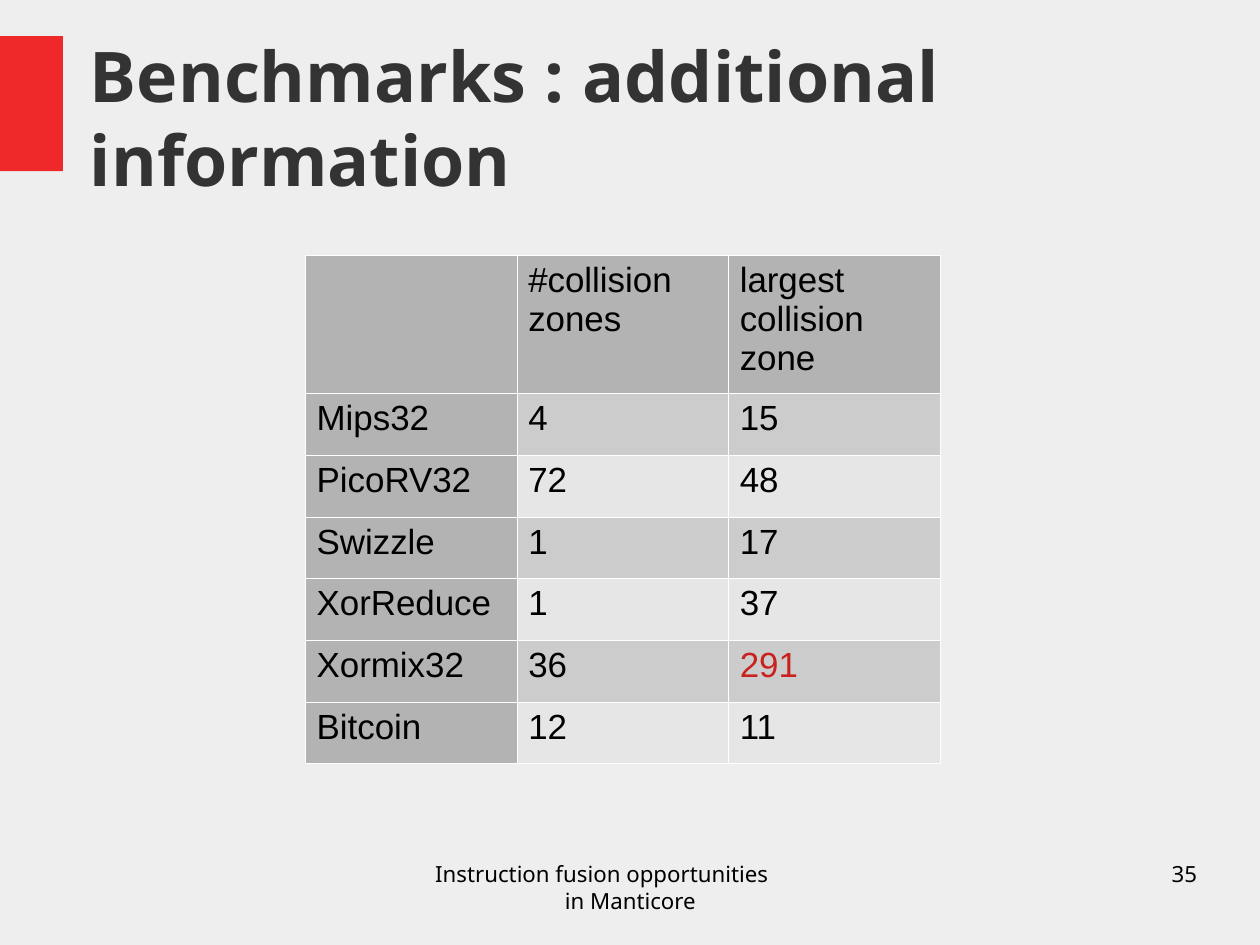
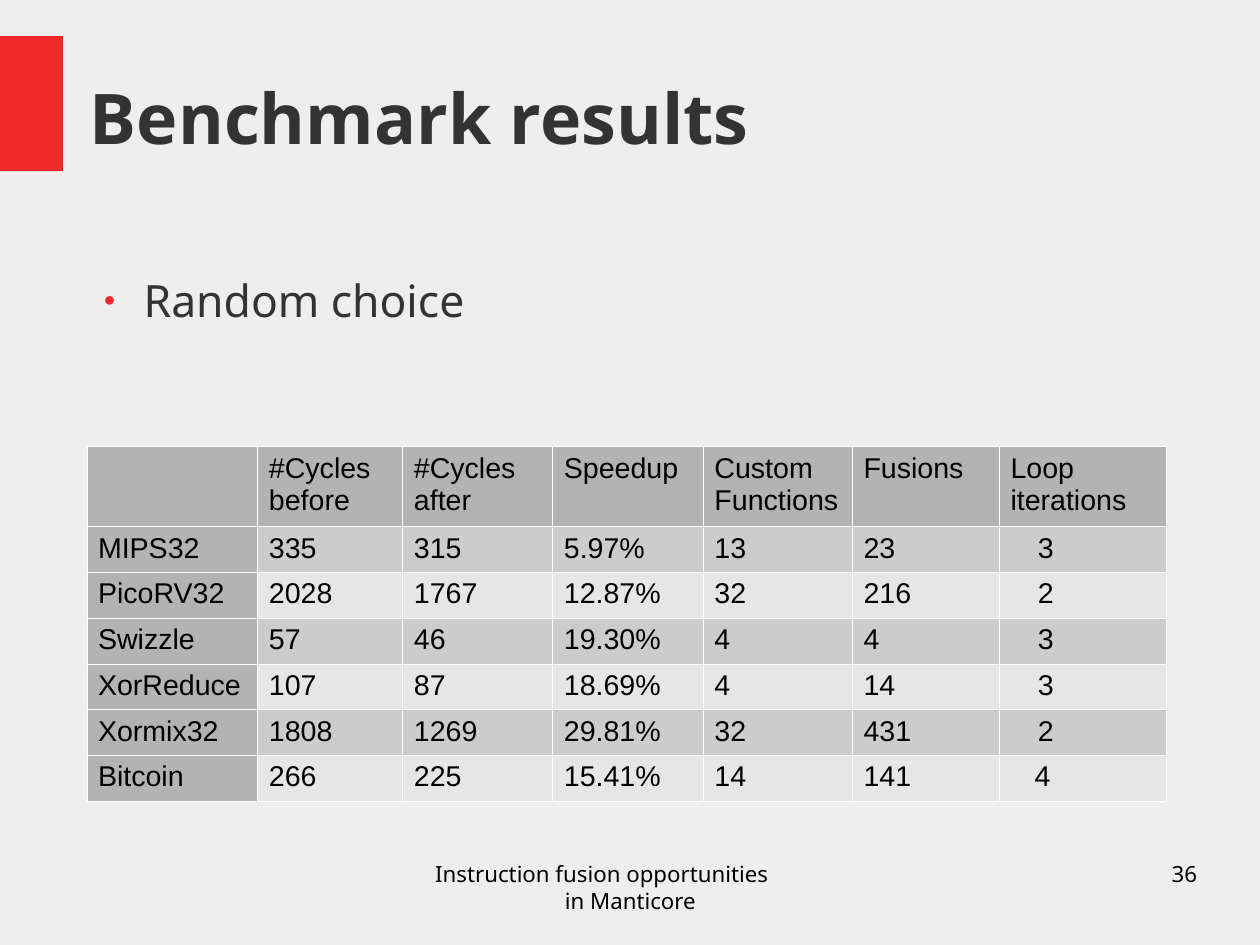
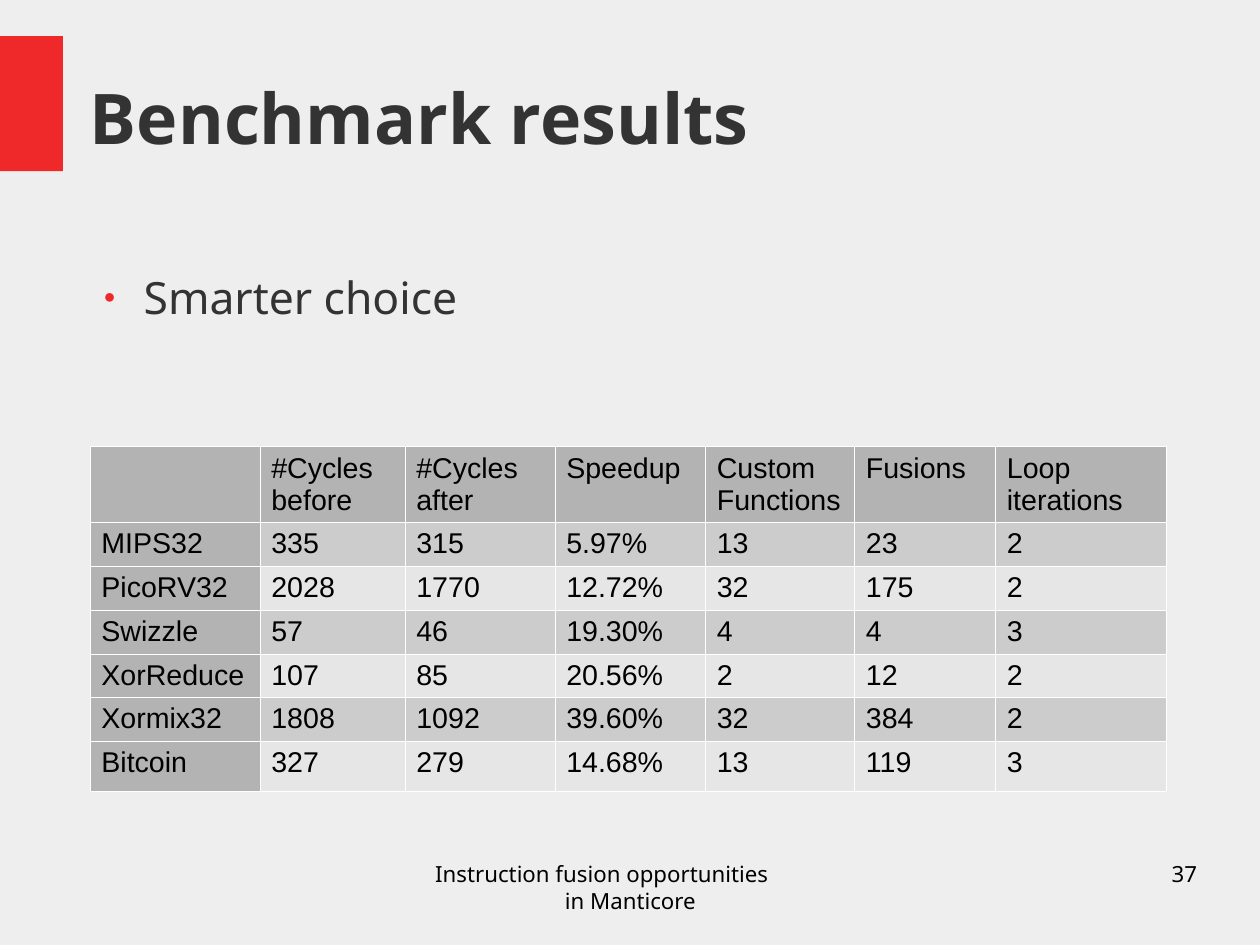
from dataclasses import dataclass
from lxml import etree
from pptx import Presentation, util as u
from pptx.dml.color import RGBColor
from pptx.enum import shapes, text
from pptx.oxml import ns


@dataclass(frozen=True)
class Theme:
    back: str = "EEEEEE"
    red: str = "EF2929"
    ink: str = "333333"
    black: str = "000000"
    alert: str = "C9211E"
    rule: str = "FFFFFF"
    head: str = "B3B3B3"
    bands: tuple = ("CCCCCC", "E6E6E6")
    face: str = "Noto Sans"
    grid: str = "Arial"
    title: int = 44
    body: int = 28
    foot: int = 14


look = Theme()
deck = Presentation()
deck.slide_width, deck.slide_height = u.Cm(28), u.Cm(21)
wide, high = deck.slide_width / 100, deck.slide_height / 100
fill = deck.slide_master.background.fill
fill.solid()
fill.fore_color.rgb = RGBColor.from_string(look.back)
left, line = 7.14, 91.05


def style(para, face, size, tint, bold=False):
    font = para.font
    font.name, font.size, font.bold = face, u.Pt(size), bold
    font.color.rgb = RGBColor.from_string(tint)


def write(page, area, words, size, tint, align=text.PP_ALIGN.LEFT, bold=False, hang=(0, 0)):
    x, y, w, h = area
    box = page.shapes.add_textbox(int(x * wide), int(y * high), int(w * wide), int(h * high))
    frame = box.text_frame
    frame.word_wrap = True
    frame.margin_left = frame.margin_right = frame.margin_top = frame.margin_bottom = 0
    frame.text = words
    para = frame.paragraphs[0]
    para.alignment = align
    style(para, look.face, size, tint, bold)
    if any(hang):
        prop = para._p.get_or_add_pPr()
        prop.set("marL", str(u.Inches(hang[0])))
        prop.set("indent", str(u.Inches(hang[1])))
    return frame


names = ["PicoRV32", "Swizzle", "XorReduce", "Xormix32", "Bitcoin"]
heads = ["", "#Cycles before", "#Cycles after", "Speedup", "Custom Functions", "Fusions", "Loop iterations"]
cols = [11.51, 11.9, 11.95, 11.83]
pages = [
    dict(title="Benchmarks : additional information", point=None, top=0,
         at=(24.23, 27.03), size=22, cols=[16.79] * 3, rows=[14.6] + [6.53] * 6,
         heads=["", "#collision zones", "largest collision zone"],
         names=["Mips32"] + names,
         data=["4 15", "72 48", "1 17", "1 37", "36 291", "12 11"],
         dents=[0] * 6, alert="291", base=0.05),
    dict(title="Benchmark results", point="Random choice", top=28.9,
         at=(6.87, 47.24), size=18, cols=[13.57] + cols + [11.67, 13.25], rows=[8.46] + [4.84] * 6,
         heads=heads, names=["MIPS32"] + names,
         data=["335 315 5.97% 13 23 3", "2028 1767 12.87% 32 216 2",
               "57 46 19.30% 4 4 3", "107 87 18.69% 4 14 3",
               "1808 1269 29.81% 32 431 2", "266 225 15.41% 14 141 4"],
         dents=[0.24] * 5 + [0.21], alert=None, base=0.05),
    dict(title="Benchmark results", point="Smarter choice", top=28.54,
         at=(left, 47.24), size=18, cols=[13.49] + cols + [11.19, 13.57], rows=[8.04] + [4.63] * 5 + [5.29],
         heads=heads, names=["MIPS32"] + names,
         data=["335 315 5.97% 13 23 2", "2028 1770 12.72% 32 175 2",
               "57 46 19.30% 4 4 3", "107 85 20.56% 2 12 2",
               "1808 1092 39.60% 32 384 2", "327 279 14.68% 13 119 3"],
         dents=[0] * 6, alert=None, base=0.01),
]

for num, item in enumerate(pages, 35):
    page = deck.slides.add_slide(deck.slide_layouts[6])
    bar = page.shapes.add_shape(shapes.MSO_SHAPE.RECTANGLE, 0, int(3.81 * high), int(5 * wide), int(14.29 * high))
    bar.shadow.inherit = False
    bar.fill.solid()
    bar.fill.fore_color.rgb = RGBColor.from_string(look.red)
    bar.line.fill.background()

    title = write(page, (left, 2.25, 87.84, 20.19), item["title"], look.title, look.ink, bold=True)
    title.vertical_anchor = text.MSO_ANCHOR.MIDDLE

    if item["point"]:
        body = write(page, (left, item["top"], 87.84, 12.7), item["point"], look.body, look.ink, hang=(0.47, -0.35))
        para = body.paragraphs[0]
        para.space_after = u.Pt(14.1)
        prop = para._p.get_or_add_pPr()
        tint = etree.SubElement(prop, ns.qn("a:buClr"))
        etree.SubElement(tint, ns.qn("a:srgbClr"), val=look.red)
        etree.SubElement(prop, ns.qn("a:buSzPct"), val="45000")
        etree.SubElement(prop, ns.qn("a:buFont"), typeface=look.grid)
        etree.SubElement(prop, ns.qn("a:buChar"), char="●")

    cells = [item["heads"]] + [[name] + row.split() for name, row in zip(item["names"], item["data"])]
    x, y = item["at"]
    table = page.shapes.add_table(
        len(cells), len(item["cols"]), int(x * wide), int(y * high),
        int(sum(item["cols"]) * wide), int(sum(item["rows"]) * high)).table
    for col, width in zip(table.columns, item["cols"]):
        col.width = int(width * wide)
    for r, row in enumerate(cells):
        table.rows[r].height = int(item["rows"][r] * high)
        for c, words in enumerate(row):
            cell = table.cell(r, c)
            cell.text = words
            cell.margin_left = cell.margin_right = u.Inches(0.1)
            cell.margin_top, cell.margin_bottom = u.Inches(0.05), u.Inches(item["base"])
            para = cell.text_frame.paragraphs[0]
            style(para, look.grid, item["size"], look.alert if words == item["alert"] else look.black)
            if r and c == len(row) - 1 and item["dents"][r - 1]:
                para._p.get_or_add_pPr().set("marL", str(u.Inches(item["dents"][r - 1])))
            cell.fill.solid()
            shade = look.bands[(r - 1) % 2] if r and c else look.head
            cell.fill.fore_color.rgb = RGBColor.from_string(shade)
            prop = cell._tc.get_or_add_tcPr()
            for i, side in enumerate(("lnL", "lnR", "lnT", "lnB")):
                edge = etree.Element(ns.qn("a:" + side), w=str(u.Pt(0.06)))
                paint = etree.SubElement(edge, ns.qn("a:solidFill"))
                etree.SubElement(paint, ns.qn("a:srgbClr"), val=look.rule)
                prop.insert(i, edge)

    foot = write(page, (34.2, line, 31.67, 6.89), "Instruction fusion opportunities in Manticore",
                 look.foot, look.black, text.PP_ALIGN.CENTER, hang=(0.5, -0.5))
    foot.margin_right = u.Inches(0.5)
    write(page, (71.69, line, 23.32, 6.89), str(num), look.foot, look.black, text.PP_ALIGN.RIGHT)

deck.save("out.pptx")
